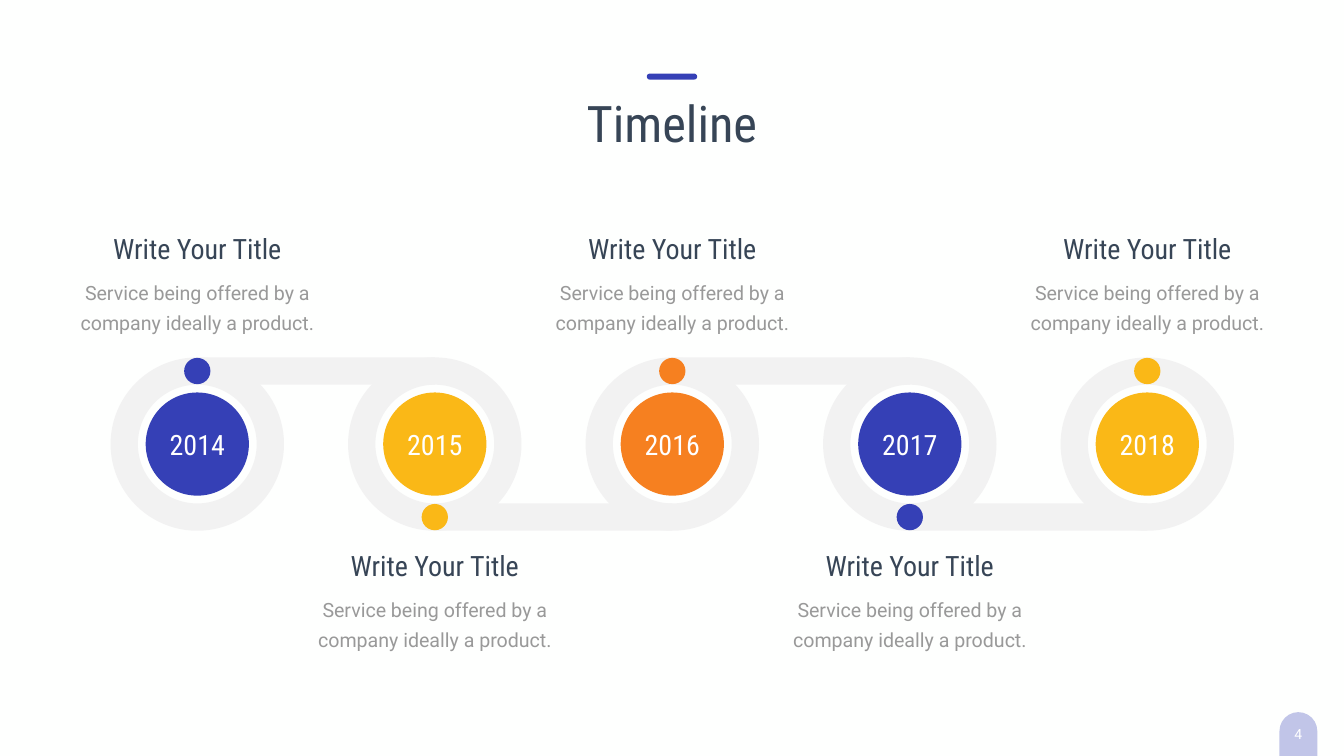
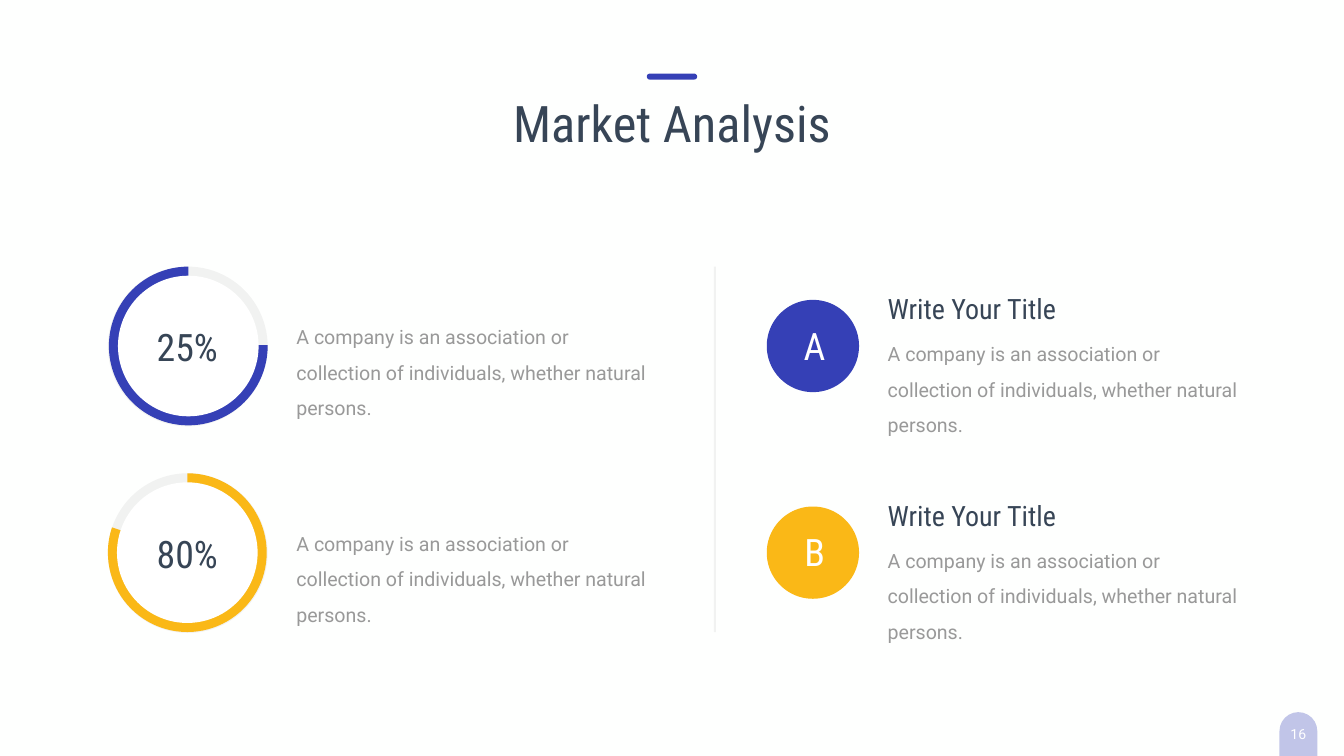
from lxml import etree
from pptx import Presentation
from pptx.dml.color import RGBColor
from pptx.enum import shapes, text
from pptx.oxml.ns import qn
from pptx.util import Pt

# Content
MILESTONES = [("2014", "blue"), ("2015", "yellow"), ("2016", "orange"),
              ("2017", "blue"), ("2018", "yellow")]
HEADING = "Write Your Title"
SERVICE = "Service being offered by a company ideally a product."
COMPANY = ("A company is an association or collection of individuals, "
           "whether natural persons.")
# share, colour, pie left, start and end angle in degrees
SHARES = [("25%", "blue", 155.5, 359.39, 270.06),
          ("80%", "yellow", 154.1, 270.04, 198.58)]
POINTS = [("A", "blue"), ("B", "yellow")]

# Shared style
COLORS = {"blue": "3540B6", "yellow": "FAB817", "orange": "F68020",
          "dark": "374556", "body": "999999", "track": "F2F2F2",
          "gray": "808080", "white": "FFFFFF", "paper": "FEFFFE"}
HEAD_FONT, BODY_FONT = "Roboto Condensed", "Roboto"
SLIDE_W, SLIDE_H = 1919.52, 1080
SHAPE = shapes.MSO_SHAPE
LEFT, CENTER = text.PP_ALIGN.LEFT, text.PP_ALIGN.CENTER


def rgb(name):
    return RGBColor.from_string(COLORS[name])


def set_alpha(sp, percent):
    for clr in sp._element.spPr.iter(qn("a:srgbClr")):
        etree.SubElement(clr, qn("a:alpha"), val=str(percent * 1000))


def add_shape(s, kind, x, y, w, h, color, alpha=None, adj=()):
    sp = s.shapes.add_shape(kind, Pt(x), Pt(y), Pt(w), Pt(h))
    sp.shadow.inherit = False
    sp.fill.solid()
    sp.fill.fore_color.rgb = rgb(color)
    sp.line.fill.background()
    for i, value in enumerate(adj):
        sp.adjustments[i] = value
    if alpha:
        set_alpha(sp, alpha)
    return sp


def add_round(s, cx, cy, size, color, kind=SHAPE.OVAL, **options):
    return add_shape(s, kind, cx - size / 2, cy - size / 2, size, size, color, **options)


def add_text(s, x, y, w, h, words, size, color, font=HEAD_FONT, align=CENTER,
             wrap=True, spacing=None, insets=(7.2, 3.6)):
    tf = s.shapes.add_textbox(Pt(x), Pt(y), Pt(w), Pt(h)).text_frame
    tf.word_wrap = wrap
    tf.auto_size = text.MSO_AUTO_SIZE.SHAPE_TO_FIT_TEXT
    tf.margin_left = tf.margin_right = Pt(insets[0])
    tf.margin_top = tf.margin_bottom = Pt(insets[1])
    p = tf.paragraphs[0]
    p.text = words
    p.alignment = align
    if spacing:
        p.line_spacing = spacing
    p.font.name, p.font.size = font, Pt(size)
    p.font.color.rgb = rgb(color)


def new_slide(prs, number):
    s = prs.slides.add_slide(prs.slide_layouts[6])
    s.background.fill.solid()
    s.background.fill.fore_color.rgb = rgb("paper")
    # Page number tab, running off the bottom edge
    tab = add_shape(s, SHAPE.ROUNDED_RECTANGLE, 1789.2, 1055.5, 130.3, 54,
                    "blue", alpha=30, adj=[0.5])
    tab.rotation = 90
    add_text(s, 1821.6, 1029.6, 65.5, 38.9, number, 20, "white", BODY_FONT,
             wrap=False, insets=(14.4, 7.2))
    return s


def add_title(s, words, width):
    add_text(s, (SLIDE_W - width) / 2, 127.4, width, 94.3, words, 72, "dark")
    add_shape(s, SHAPE.ROUNDED_RECTANGLE, (SLIDE_W - 72) / 2, 105.1, 72, 8.6,
              "blue", adj=[0.5])


def build_timeline(prs):
    s = new_slide(prs, "4")
    first, step, mid = 281.8, 339.2, 634.4
    ring, band = 247.7, 39
    orbit = (ring - band) / 2
    # Each milestone: centre x and side of its label (-1 above, 1 below)
    stops = [(first + i * step, 1 if i % 2 else -1) for i in range(len(MILESTONES))]

    # Winding track
    for cx, _ in stops:
        add_round(s, cx, mid, ring, "track", SHAPE.DONUT, adj=[band / ring])
    for cx, side in stops[:-1]:
        add_shape(s, SHAPE.RECTANGLE, cx, mid + side * orbit - band / 2,
                  step, band, "track")
    add_title(s, "Timeline", 676)

    # Years, markers and labels
    for (year, color), (cx, side) in zip(MILESTONES, stops):
        add_round(s, cx, mid, 147.4, color)
        add_round(s, cx, mid + side * orbit, 37.6, color)
        add_text(s, cx - 47.2, 607, 94.4, 55.4, year, 40, "white", wrap=False)
        top = 327.6 if side < 0 else 780.5
        add_text(s, cx - 130, top, 260, 55.4, HEADING, 40, "dark", wrap=False)
        add_text(s, cx - 210.2, top + 55.8, 420.4, 100, SERVICE, 28, "body",
                 BODY_FONT, spacing=Pt(43), insets=(17.3, 8.6))


def build_market(prs):
    s = new_slide(prs, "16")
    add_title(s, "Market Analysis", 931.7)
    top, row_step = 380.9, 295.2

    # Divider
    line = s.shapes.add_connector(shapes.MSO_CONNECTOR.STRAIGHT,
                                  Pt(1021), Pt(top), Pt(1021), Pt(902.9))
    line.line.color.rgb = rgb("gray")
    line.line.width = Pt(3)
    set_alpha(line, 10)
    etree.SubElement(line._element.spPr, qn("a:effectLst"))

    # Share rings
    pie, hole = 226.8, 200.9
    for i, (share, color, left, start, end) in enumerate(SHARES):
        y = top + i * row_step
        add_shape(s, SHAPE.OVAL, 154.1, y, 228.2, 228.2, "gray", alpha=10)
        # Pie angles are stored in units of 5/3 degree
        add_shape(s, SHAPE.PIE, left, y, pie, pie, color,
                  adj=[start * 0.6, end * 0.6])
        add_round(s, left + pie / 2, y + pie / 2, hole, "white")
        add_text(s, 416.2, y + 63.4, 524.9, 102.2, COMPANY, 28, "body",
                 BODY_FONT, LEFT, spacing=1.5)
        add_text(s, 216, y + 77.8, 103, 72.7, share, 54, "dark", wrap=False)

    # Lettered points
    for i, (letter, color) in enumerate(POINTS):
        y = top + i * row_step
        add_round(s, 1161, y + 113.4, 131.8, color)
        add_text(s, 1260.7, y + 87.8, 524.9, 102.2, COMPANY, 28, "body",
                 BODY_FONT, LEFT, spacing=1.5)
        add_text(s, 1260.7, y + 32.4, 307.4, 55.4, HEADING, 40, "dark", align=LEFT)
        add_text(s, 1122.5, y + 76, 82, 72.7, letter, 54, "white")


def main():
    prs = Presentation()
    prs.slide_width, prs.slide_height = Pt(SLIDE_W), Pt(SLIDE_H)
    build_timeline(prs)
    build_market(prs)
    prs.save("out.pptx")


if __name__ == "__main__":
    main()
